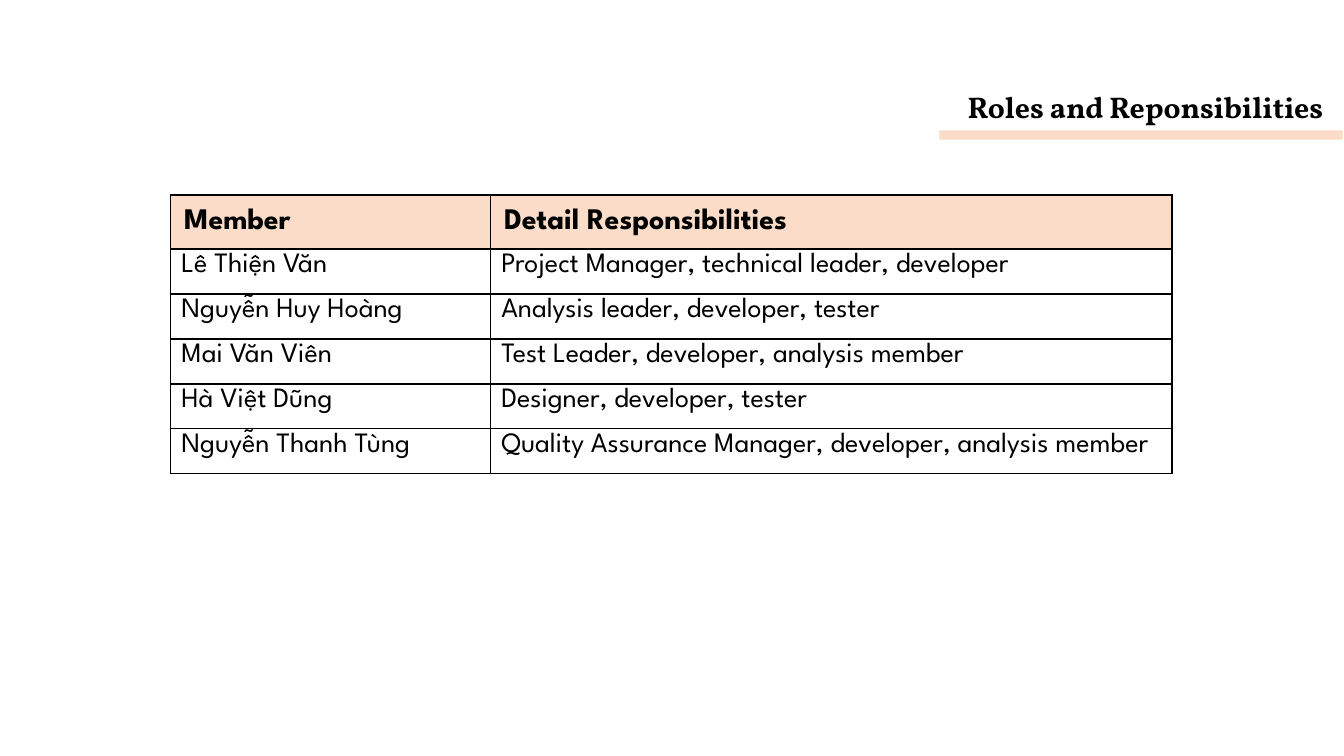
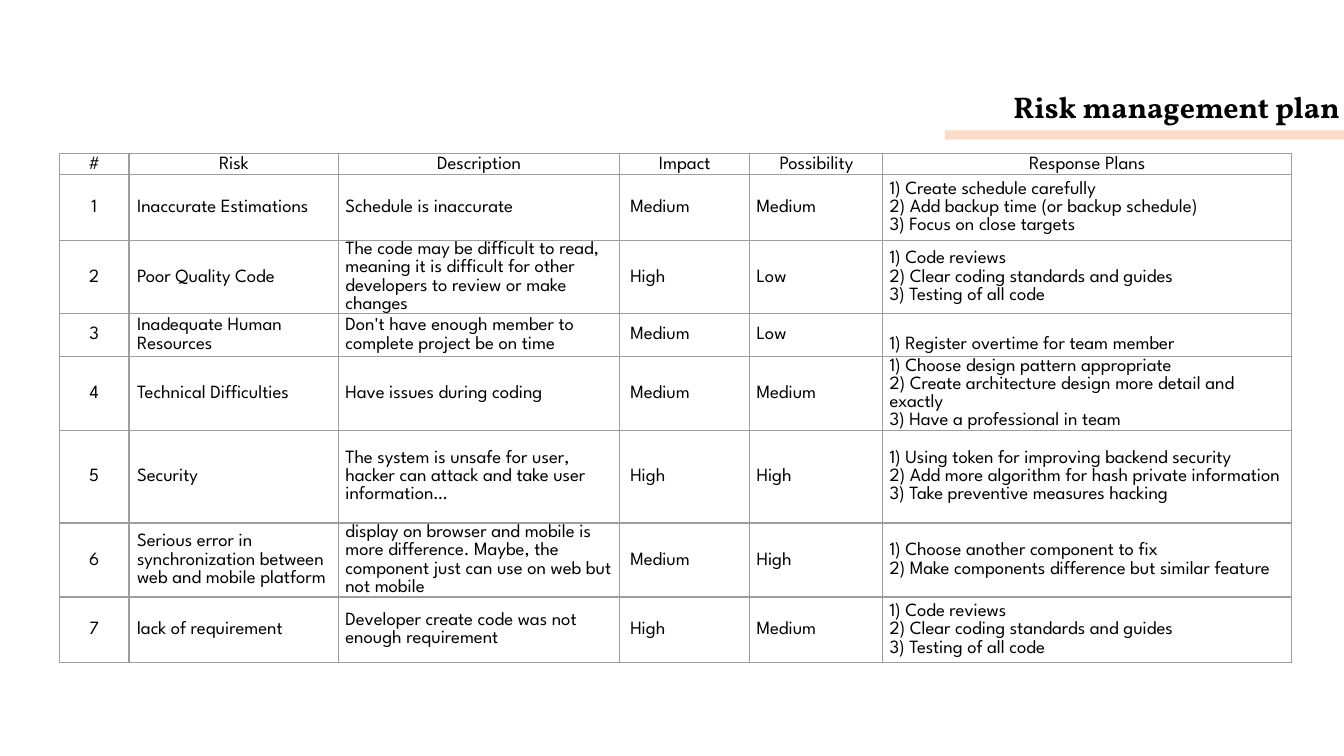
"""Build the team roles and risk management slides."""
from copy import deepcopy

from lxml import etree
from pptx import Presentation
from pptx.dml.color import RGBColor
from pptx.enum.shapes import MSO_SHAPE
from pptx.enum.text import MSO_ANCHOR, MSO_AUTO_SIZE, PP_ALIGN
from pptx.oxml.ns import qn
from pptx.util import Inches, Pt

LEFT, CENTER, JUSTIFY = PP_ALIGN.LEFT, PP_ALIGN.CENTER, PP_ALIGN.JUSTIFY
TOP, MIDDLE = MSO_ANCHOR.TOP, MSO_ANCHOR.MIDDLE
RECTANGLE = MSO_SHAPE.RECTANGLE
NO_AUTOFIT = MSO_AUTO_SIZE.NONE

SLIDE_W = 10
SLIDE_H = SLIDE_W * 9 / 16
TITLE_RIGHT, TITLE_TOP, TITLE_H = 10.33, 0.56, 0.45
BAND_TOP, BAND_W, BAND_H = 0.97, 3, 0.07
BLACK, PEACH, GRAY = "000000", "FADCC8", "9E9E9E"
BODY_FONT, TITLE_FONT = "League Spartan", "Vollkorn"

ROLES = [
    ("Member", "Detail Responsibilities"),
    ("Lê Thiện Văn", "Project Manager, technical leader, developer"),
    ("Nguyễn Huy Hoàng", "Analysis leader, developer, tester"),
    ("Mai Văn Viên", "Test Leader, developer, analysis member"),
    ("Hà Việt Dũng", "Designer, developer, tester"),
    ("Nguyễn Thanh Tùng", "Quality Assurance Manager, developer, analysis member"),
]
ROLE_COLS = [2.38, 5.07]
ROLE_ROWS = [0.38] + [1.67 / 5] * 5

CODE_PLANS = ("Code reviews", "Clear coding standards and guides", "Testing of all code")
RISK_HEADS = ("#", "Risk", "Description", "Impact", "Possibility", "Response Plans")
RISKS = [
    ("Inaccurate Estimations", "Schedule is inaccurate", "Medium", "Medium",
     ("Create schedule carefully", "Add backup time (or backup schedule)",
      "Focus on close targets")),
    ("Poor Quality Code",
     "The code may be difficult to read, meaning it is difficult for other "
     "developers to review or make changes", "High", "Low", CODE_PLANS),
    ("Inadequate Human Resources",
     "Don't have enough member to complete project be on time", "Medium", "Low",
     ("Register overtime for team member",)),
    ("Technical Difficulties", "Have issues during coding", "Medium", "Medium",
     ("Choose design pattern appropriate",
      "Create architecture design more detail and exactly",
      "Have a professional in team")),
    ("Security",
     "The system is unsafe for user, hacker can attack and take user information…",
     "High", "High",
     ("Using token for improving backend security",
      "Add more algorithm for hash private information",
      "Take preventive measures hacking")),
    ("Serious error in synchronization between web and mobile platform",
     "display on browser and mobile is more difference. Maybe, the component "
     "just can use on web but not mobile", "Medium", "High",
     ("Choose another component to fix",
      "Make components difference but similar feature")),
    ("lack of requirement", "Developer create code was not enough requirement",
     "High", "Medium", CODE_PLANS),
]
RISK_COLS = [0.52, 1.56, 2.09, 0.97, 0.99, 3.04]
RISK_ROWS = [0.16, 0.49, 0.49, 0.32, 0.55, 0.69, 0.55, 0.49]
RISK_INDENTS = [0, 0.01, 0, 0.03, 0, 0]
SINGLE_PLAN_DROP = 0.14


def color(value):
    return RGBColor.from_string(value)


def write(frame, text, size, font=BODY_FONT, bold=False, align=LEFT, spacing=1.0, after=0):
    paragraph = frame.paragraphs[0]
    paragraph.text = text
    paragraph.alignment = align
    paragraph.line_spacing = spacing
    paragraph.space_before, paragraph.space_after = Pt(0), Pt(after)
    for run in paragraph.runs:
        run.font.name, run.font.size, run.font.bold = font, Pt(size), bold
        run.font.color.rgb = color(BLACK)
    for line_break in paragraph._p.findall(qn("a:br")):
        line_break.insert(0, deepcopy(paragraph.runs[0]._r.rPr))


def set_margins(holder, left, top, right, bottom):
    holder.margin_left, holder.margin_top = Inches(left), Inches(top)
    holder.margin_right, holder.margin_bottom = Inches(right), Inches(bottom)


def set_borders(cell, line_color, width):
    properties = cell._tc.get_or_add_tcPr()
    for index, side in enumerate(("a:lnL", "a:lnR", "a:lnT", "a:lnB")):
        line = etree.Element(qn(side), w=str(Pt(width)))
        fill = etree.SubElement(line, qn("a:solidFill"))
        etree.SubElement(fill, qn("a:srgbClr"), val=line_color)
        properties.insert(index, line)


def add_titled_slide(deck, heading, title_left, band_left):
    slide = deck.slides.add_slide(deck.slide_layouts[5])
    title = slide.shapes.title
    title.left, title.top = Inches(title_left), Inches(TITLE_TOP)
    title.width, title.height = Inches(TITLE_RIGHT - title_left), Inches(TITLE_H)
    frame = title.text_frame
    frame.auto_size, frame.word_wrap, frame.vertical_anchor = NO_AUTOFIT, True, TOP
    set_margins(frame, 0.1, 0.1, 0.1, 0.1)
    write(frame, heading, 16, font=TITLE_FONT, bold=True)
    band = slide.shapes.add_shape(RECTANGLE, Inches(band_left), Inches(BAND_TOP),
                                  Inches(BAND_W), Inches(BAND_H))
    band.shadow.inherit = False
    band.fill.solid()
    band.fill.fore_color.rgb = color(PEACH)
    band.line.fill.background()
    return slide


def add_grid(slide, left, top, widths, heights, line_color, line_width):
    table = slide.shapes.add_table(len(heights), len(widths), Inches(left), Inches(top),
                                   Inches(sum(widths)), Inches(sum(heights))).table
    table.first_row = table.horz_banding = False
    for column, width in zip(table.columns, widths):
        column.width = Inches(width)
    for row, height in zip(table.rows, heights):
        row.height = Inches(height)
    for cell in table.iter_cells():
        cell.fill.background()
        set_borders(cell, line_color, line_width)
    return table


def build_roles(deck):
    slide = add_titled_slide(deck, "Roles and Reponsibilities", 7.1, 6.99)
    table = add_grid(slide, 1.27, 1.45, ROLE_COLS, ROLE_ROWS, BLACK, 1)
    for r, member in enumerate(ROLES):
        for c, text in enumerate(member):
            cell = table.cell(r, c)
            if r == 0:
                cell.fill.solid()
                cell.fill.fore_color.rgb = color(PEACH)
                set_margins(cell, 0.1, 0.1, 0.1, 0.1)
                write(cell.text_frame, text, 16, bold=True)
            else:
                set_margins(cell, 0.08, 0, 0.08, 0)
                write(cell.text_frame, text, 15, align=JUSTIFY, spacing=1.15)


def build_risks(deck):
    slide = add_titled_slide(deck, "Risk management plan", 7.44, 7.03)
    table = add_grid(slide, 0.44, 1.14, RISK_COLS, RISK_ROWS, GRAY, 0.75)
    rows = [RISK_HEADS]
    for number, (*facts, plans) in enumerate(RISKS, 1):
        steps = "\n".join(f"{i}) {plan}" for i, plan in enumerate(plans, 1))
        rows.append((str(number), *facts, steps))
    for r, row in enumerate(rows):
        for c, text in enumerate(row):
            cell = table.cell(r, c)
            cell.vertical_anchor = MIDDLE
            is_head = r == 0
            indent = 0 if is_head else RISK_INDENTS[c]
            single_plan = not is_head and c == 5 and "\n" not in text
            set_margins(cell, 0.05 + indent, SINGLE_PLAN_DROP if single_plan else 0, 0.05, 0)
            write(cell.text_frame, text, 10, align=CENTER if is_head or c == 0 else LEFT,
                  spacing=1.07, after=0 if is_head else 8)


def main():
    deck = Presentation()
    deck.slide_width, deck.slide_height = Inches(SLIDE_W), Inches(SLIDE_H)
    build_roles(deck)
    build_risks(deck)
    deck.save("out.pptx")


if __name__ == "__main__":
    main()
